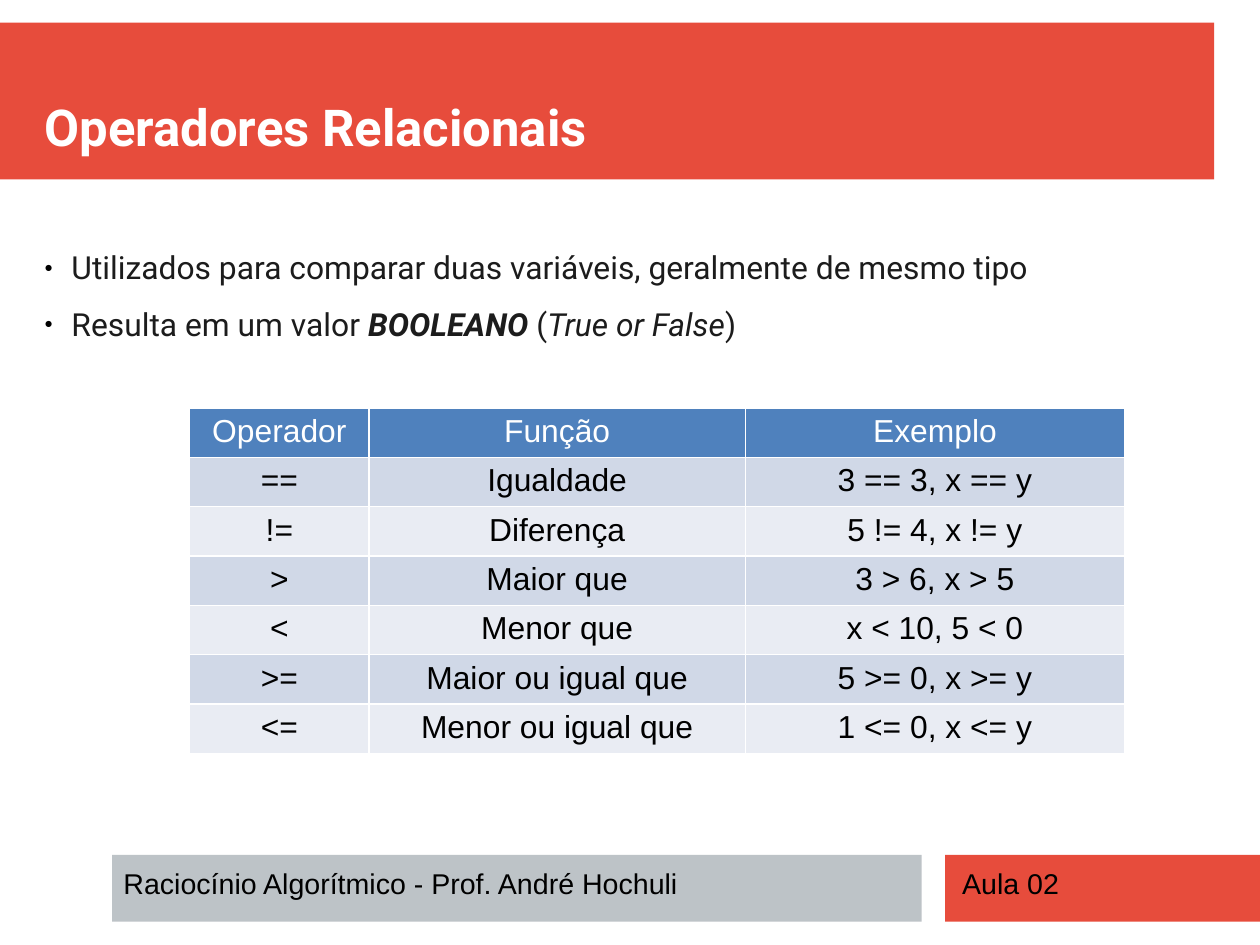
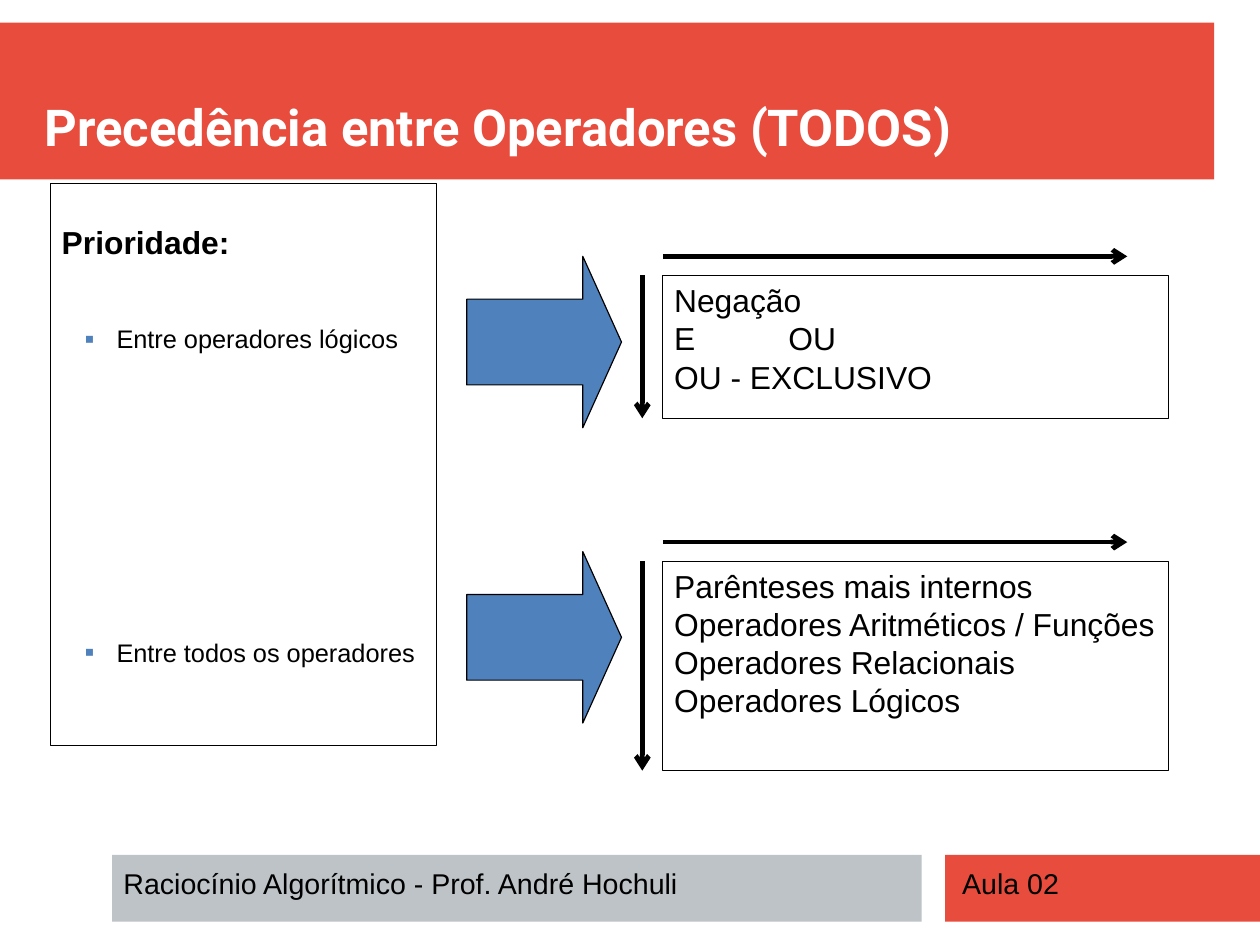
from lxml.etree import SubElement
from pptx import Presentation
from pptx.dml.color import RGBColor
from pptx.enum.shapes import MSO_CONNECTOR as Connector, MSO_SHAPE as Shape
from pptx.enum.text import MSO_ANCHOR as Anchor, MSO_AUTO_SIZE as AutoSize, PP_ALIGN as Align
from pptx.oxml.ns import qn
from pptx.util import Pt

COLORS = {
    "red": "E74C3C", "gray": "BDC3C7", "blue": "4F81BD", "ink": "1C1C1C",
    "black": "000000", "white": "FFFFFF", "band_dark": "D0D8E7", "band_light": "E9ECF3",
}
TITLE_AREA = (28, 28, 737, 70.5)
BODY_AREA = (28, 156.25, 722, 368)
BANDS = [  # area, colour
    ((0, 14.2, 764.8, 98.8), "red"),
    ((595.4, 538.6, 198.3, 42), "red"),
    ((70.7, 538.6, 509.8, 42), "gray"),
]
FOOTERS = [
    ((70.7, 542.2, 507, 28), "Raciocínio Algorítmico - Prof. André Hochuli"),
    ((599, 542.2, 179, 28), "Aula 02"),
]
OPERATORS = [
    ("Operador", "Função", "Exemplo"),
    ("==", "Igualdade", "3 == 3, x == y"),
    ("!=", "Diferença", "5 != 4, x != y"),
    (">", "Maior que", "3 > 6, x > 5"),
    ("<", "Menor que", "x < 10, 5 < 0"),
    (">=", "Maior ou igual que", "5 >= 0, x >= y"),
    ("<=", "Menor ou igual que", "1 <= 0, x <= y"),
]
COLUMN_WIDTHS = (113, 237, 239)
ROW_HEIGHT = 31.1
PRECEDENCES = [  # box top, box height, block arrow top, lines
    (173.5, 90, 161.5, ["Negação", "E\tOU", "OU - EXCLUSIVO"]),
    (353.5, 132, 347.5, ["Parênteses mais internos", "Operadores Aritméticos / Funções",
                         "Operadores Relacionais", "Operadores Lógicos"]),
]


def rgb(name):
    return RGBColor.from_string(COLORS[name])


def points(area):
    return [Pt(length) for length in area]


def move(box, area):
    box.left, box.top, box.width, box.height = points(area)


# Text
def write(para, text, size=20, font="Arial", color="black", bold=False, italic=False):
    span = para.add_run()
    span.text = text
    span.font.size = Pt(size)
    span.font.name = font
    span.font.bold = bold
    span.font.italic = italic
    span.font.color.rgb = rgb(color)


def set_frame(frame, insets=(7.2, 3.6, 7.2, 3.6), anchor=Anchor.TOP):
    frame.word_wrap = True
    frame.auto_size = AutoSize.NONE
    frame.vertical_anchor = anchor
    (frame.margin_left, frame.margin_top,
     frame.margin_right, frame.margin_bottom) = points(insets)


def add_para(frame, first, before=0, after=0, spacing=1.0):
    para = frame.paragraphs[0] if first else frame.add_paragraph()
    para.alignment = Align.LEFT
    para.space_before = Pt(before)
    para.space_after = Pt(after)
    para.line_spacing = spacing
    return para


def set_bullet(para, char=None, left=0, hanging=0, color="black", percent=100):
    props = para._p.get_or_add_pPr()
    props.set("marL", str(Pt(left)))
    props.set("indent", str(-Pt(hanging)))
    if char is None:
        SubElement(props, qn("a:buNone"))
        return
    SubElement(SubElement(props, qn("a:buClr")), qn("a:srgbClr"), val=COLORS[color])
    SubElement(props, qn("a:buSzPct"), val=str(percent * 1000))
    SubElement(props, qn("a:buFont"), typeface="Arial")
    SubElement(props, qn("a:buChar"), char=char)


def set_tab(para, position):
    tabs = SubElement(para._p.get_or_add_pPr(), qn("a:tabLst"))
    SubElement(tabs, qn("a:tab"), pos=str(Pt(position)), algn="l")


# Shapes
def add_box(page, area, fill, line=None, kind=Shape.RECTANGLE):
    box = page.shapes.add_shape(kind, *points(area))
    box.shadow.inherit = False
    box.fill.solid()
    box.fill.fore_color.rgb = rgb(fill)
    if line:
        box.line.color.rgb = rgb(line)
        box.line.width = Pt(0.75)
    else:
        box.line.fill.background()
    return box


def add_arrow(page, *ends):
    arrow = page.shapes.add_connector(Connector.STRAIGHT, *points(ends))
    arrow.line.color.rgb = rgb("black")
    arrow.line.width = Pt(3)
    props = arrow.element.find(qn("p:spPr"))
    SubElement(props.find(qn("a:ln")), qn("a:tailEnd"), type="arrow")
    SubElement(props, qn("a:effectLst"))


def set_borders(cell, color="white", width=0.96):
    props = cell._tc.get_or_add_tcPr()
    for side in ("lnL", "lnR", "lnT", "lnB"):
        line = SubElement(props, qn(f"a:{side}"), w=str(Pt(width)))
        SubElement(SubElement(line, qn("a:solidFill")), qn("a:srgbClr"), val=COLORS[color])


def add_table(page, left, top, rows):
    area = (left, top, sum(COLUMN_WIDTHS), ROW_HEIGHT * len(rows))
    table = page.shapes.add_table(len(rows), len(COLUMN_WIDTHS), *points(area)).table
    table.horz_banding = False
    for column, width in zip(table.columns, COLUMN_WIDTHS):
        column.width = Pt(width)
    for index, (row, texts) in enumerate(zip(table.rows, rows)):
        row.height = Pt(ROW_HEIGHT)
        fill = "blue" if index == 0 else "band_dark" if index % 2 else "band_light"
        for cell, text in zip(row.cells, texts):
            set_borders(cell)
            cell.fill.solid()
            cell.fill.fore_color.rgb = rgb(fill)
            para = cell.text_frame.paragraphs[0]
            para.alignment = Align.CENTER
            write(para, text, color="black" if index else "white")


# Shared parts
def set_layout(layout, page):
    """Put the bands on the layout, behind its placeholders."""
    for index, (area, fill) in enumerate(BANDS):
        band = add_box(page, area, fill)
        band.element.nvSpPr.cNvPr.set("id", str(20 + index))
        layout.shapes.element.insert(2 + index, band.element)
    move(layout.placeholders[0], TITLE_AREA)
    move(layout.placeholders[1], BODY_AREA)


def add_page(deck, title):
    layout = deck.slide_layouts[1]
    page = deck.slides.add_slide(layout)
    if len(deck.slides) == 1:
        set_layout(layout, page)
    move(page.shapes.title, TITLE_AREA)
    frame = page.shapes.title.text_frame
    set_frame(frame, (0, 0, 0, 0), Anchor.BOTTOM)
    write(add_para(frame, True), title, 32, "Roboto", "white", bold=True)
    for area, text in FOOTERS:
        footer = page.shapes.add_textbox(*points(area)).text_frame
        set_frame(footer)
        write(add_para(footer, True), text, 18)
    return page


# Slides
def add_relational_page(deck):
    page = add_page(deck, "Operadores Relacionais")
    body = page.placeholders[1]
    move(body, BODY_AREA)
    set_frame(body.text_frame, (0, 0, 0, 0))
    items = [
        [("Utilizados para comparar duas variáveis, geralmente de mesmo tipo", {})],
        [("Resulta em um valor ", {}), ("BOOLEANO", {"bold": True, "italic": True}),
         (" (", {}), ("True or False", {"italic": True}), (")", {})],
    ]
    for index, spans in enumerate(items):
        para = add_para(body.text_frame, index == 0, after=11.4)
        set_bullet(para, "●", 17, 17, percent=45)
        for text, style in spans:
            write(para, text, font="Roboto", color="ink", **style)
    add_table(page, 119.5, 257, OPERATORS)


def add_precedence(page, top, height, block_top, lines):
    left, width = 417.6, 318.4
    block = add_box(page, (294, block_top, 97.5, 108), "blue", "black", Shape.RIGHT_ARROW)
    block.adjustments[0], block.adjustments[1] = 0.5, 0.25
    frame = add_box(page, (left, top, width, height), "white", "black").text_frame
    set_frame(frame)
    for index, text in enumerate(lines):
        para = add_para(frame, index == 0)
        if "\t" in text:
            set_tab(para, 72)
        write(para, text)
    add_arrow(page, left, top - 12, left + 292.5, top - 12)
    add_arrow(page, left - 13, top, left - 13, top + height)


def add_precedence_page(deck):
    page = add_page(deck, "Precedência entre Operadores (TODOS)")
    body = page.placeholders[1]
    move(body, (31.7, 115.7, 243.3, 354))
    body.line.color.rgb = rgb("black")
    body.line.width = Pt(0.25)
    frame = body.text_frame
    set_frame(frame, (7.2, 20, 7.2, 3.6))
    heading = add_para(frame, True, spacing=1.2)
    set_bullet(heading)
    write(heading, "Prioridade:", bold=True)
    # Each item stands level with its block arrow
    for text, gap in (("Entre operadores lógicos", 35.3), ("Entre todos os operadores", 174.5)):
        item = add_para(frame, False, before=gap, spacing=1.2)
        set_bullet(item, "▪", 34.5, 20, "blue", 110)
        write(item, text, 16)
    for precedence in PRECEDENCES:
        add_precedence(page, *precedence)


def main():
    deck = Presentation()
    deck.slide_width, deck.slide_height = Pt(793.7), Pt(595.3)
    add_relational_page(deck)
    add_precedence_page(deck)
    deck.save("out.pptx")


if __name__ == "__main__":
    main()
